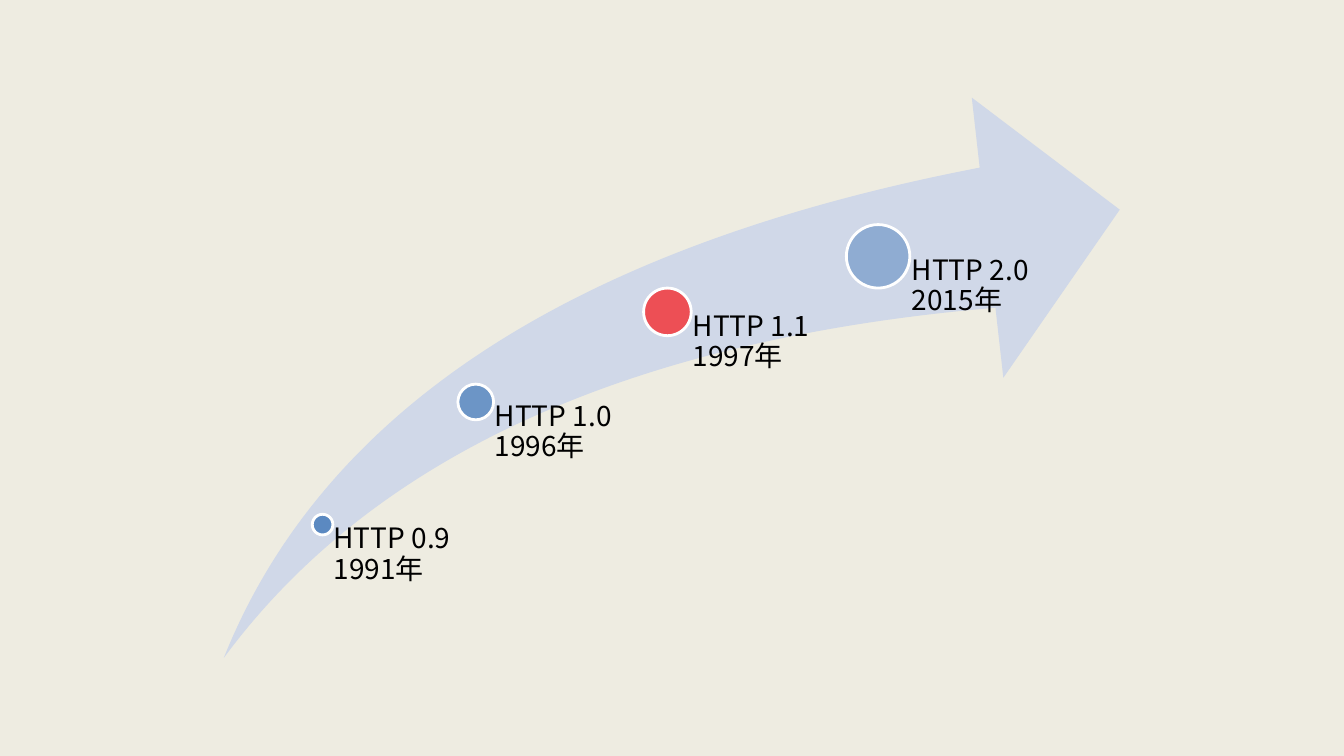
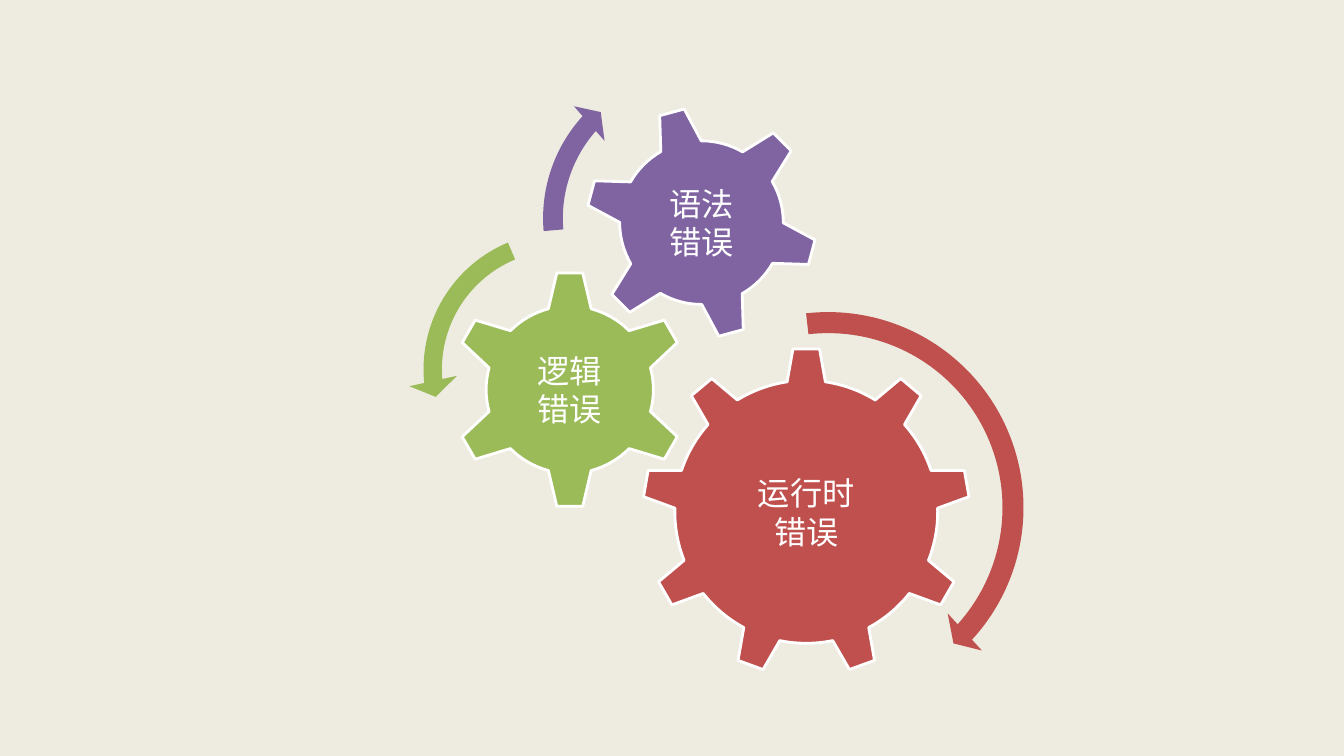
"""Build two diagram slides: HTTP version milestones and kinds of program errors."""
from dataclasses import dataclass

import lxml.etree
import pptx
import pptx.dml.color
import pptx.enum.shapes
import pptx.enum.text
import pptx.oxml.ns
import pptx.util

Cm = pptx.util.Cm
Pt = pptx.util.Pt
RGBColor = pptx.dml.color.RGBColor
Preset = pptx.enum.shapes.MSO_SHAPE
Align = pptx.enum.text.PP_ALIGN
Anchor = pptx.enum.text.MSO_ANCHOR
qn = pptx.oxml.ns.qn

FONT = "Noto Sans CJK SC"
CREAM = RGBColor(0xEE, 0xEC, 0xE1)
PALE_BLUE = RGBColor(0xD0, 0xD8, 0xE8)
BLUE = RGBColor(0x4F, 0x81, 0xBD)
BRIGHT_RED = RGBColor(0xFF, 0x00, 0x00)
BRICK = RGBColor(0xC0, 0x50, 0x4D)
GREEN = RGBColor(0x9B, 0xBB, 0x59)
PURPLE = RGBColor(0x80, 0x64, 0xA2)
WHITE = RGBColor(0xFF, 0xFF, 0xFF)
BLACK = RGBColor(0x00, 0x00, 0x00)

SWOOSH_LEFT, SWOOSH_TOP, SWOOSH_WIDTH, SWOOSH_HEIGHT = 5.64, 2.46, 22.58, 14.12
LABEL_INSET_RATIO = 0.53
GEAR_LABEL_INSET = 0.08


@dataclass(frozen=True)
class Box:
    """A rectangle in centimetres."""

    left: float
    top: float
    width: float
    height: float

    @classmethod
    def around(cls, x: float, y: float, width: float, height: float) -> "Box":
        """Return the rectangle centred on a point."""
        return cls(x - width / 2, y - height / 2, width, height)

    def lengths(self) -> tuple:
        """Return left, top, width and height as slide lengths."""
        return Cm(self.left), Cm(self.top), Cm(self.width), Cm(self.height)


@dataclass(frozen=True)
class Milestone:
    """A dot on the swoosh with the label that hangs from its centre."""

    text: str
    x: float
    y: float
    diameter: float
    label_width: float
    color: RGBColor
    opacity: int


@dataclass(frozen=True)
class Gear:
    """A gear with its centred label."""

    lines: tuple
    preset: Preset
    x: float
    y: float
    size: float
    label_width: float
    label_height: float
    color: RGBColor
    rotation: float = 0


@dataclass(frozen=True)
class Turn:
    """A curved arrow showing how a gear turns."""

    preset: Preset
    x: float
    y: float
    size: float
    color: RGBColor
    adjustments: tuple


MILESTONES = (
    Milestone("HTTP 0.9 1991年", 8.13, 13.22, 0.52, 3.86, BLUE, 90),
    Milestone("HTTP 1.0 1996年", 11.99, 10.13, 0.9, 4.75, BLUE, 77),
    Milestone("HTTP 1.1 1997年", 16.82, 7.86, 1.2, 4.75, BRIGHT_RED, 63),
    Milestone("HTTP 2.0 2015年", 22.13, 6.46, 1.6, 4.75, BLUE, 50),
)

GEARS = (
    Gear(("运行时", "错误"), Preset.GEAR_9, 20.32, 12.9, 8.28, 4.95, 4.27, BRICK),
    Gear(("逻辑", "错误"), Preset.GEAR_6, 14.36, 9.82, 6.02, 3, 2.97, GREEN),
    Gear(("语法", "错误"), Preset.GEAR_6, 17.68, 5.61, 5.89, 3.3, 3.3, PURPLE, 345),
)

TURNS = (
    Turn(Preset.CIRCULAR_ARROW, 20.87, 12.79, 10.59, BRICK,
         (0.05, 2.99, 25.39, 158.12, 0.06)),
    Turn(Preset.LEFT_CIRCULAR_ARROW, 14.14, 9.31, 7.7, GREEN,
         (0.06, 4.3, 104.89, 148.38, 0.08)),
    Turn(Preset.CIRCULAR_ARROW, 17.51, 5.5, 8.31, PURPLE,
         (0.06, 3.94, 133.14, 105.08, 0.07)),
)


def add_figure(page, preset: Preset, box: Box, color: RGBColor,
               outlined: bool = False, adjustments: tuple = ()):
    """Add a flat preset shape, with a white outline on request."""
    figure = page.shapes.add_shape(preset, *box.lengths())
    figure.shadow.inherit = False
    figure.fill.solid()
    figure.fill.fore_color.rgb = color
    if outlined:
        figure.line.color.rgb = WHITE
        figure.line.width = Pt(2)
    else:
        figure.line.fill.background()
    for index, value in enumerate(adjustments):
        figure.adjustments[index] = value
    return figure


def set_opacity(figure, percent: int) -> None:
    """Make the solid fill of a shape partly transparent."""
    color = figure._element.spPr.find(qn("a:solidFill"))[0]
    lxml.etree.SubElement(color, qn("a:alpha"), val=str(percent * 1000))


def add_label(page, box: Box, lines: tuple, size: float, color: RGBColor,
              insets: tuple, align: Align = Align.LEFT,
              anchor: Anchor = Anchor.TOP, spacing: float = 1.0) -> None:
    """Add a wrapped text box with one paragraph per line."""
    frame = page.shapes.add_textbox(*box.lengths()).text_frame
    frame.word_wrap = True
    frame.vertical_anchor = anchor
    (frame.margin_left, frame.margin_top,
     frame.margin_right, frame.margin_bottom) = map(Cm, insets)
    frame.text = "\n".join(lines)
    for para in frame.paragraphs:
        para.alignment = align
        para.line_spacing = spacing
        para.font.size = Pt(size)
        para.font.color.rgb = color
        para.font.name = FONT
        defaults = para._p.pPr.find(qn("a:defRPr"))
        lxml.etree.SubElement(defaults, qn("a:ea"), typeface=FONT)


def add_milestone(page, milestone: Milestone) -> None:
    """Draw a dot and its label."""
    x, y, diameter = milestone.x, milestone.y, milestone.diameter
    dot = add_figure(page, Preset.OVAL, Box.around(x, y, diameter, diameter),
                     milestone.color, outlined=True)
    set_opacity(dot, milestone.opacity)
    height = SWOOSH_TOP + SWOOSH_HEIGHT - y
    add_label(page, Box(x, y, milestone.label_width, height), (milestone.text,),
              20, BLACK, (diameter * LABEL_INSET_RATIO, 0, 0, 0), spacing=0.9)


def add_gear(page, gear: Gear) -> None:
    """Draw a gear and its label."""
    figure = add_figure(page, gear.preset,
                        Box.around(gear.x, gear.y, gear.size, gear.size),
                        gear.color, outlined=True)
    figure.rotation = gear.rotation
    add_label(page, Box.around(gear.x, gear.y, gear.label_width, gear.label_height),
              gear.lines, 23, WHITE, (GEAR_LABEL_INSET,) * 4,
              Align.CENTER, Anchor.MIDDLE)


def build_history(page) -> None:
    """Draw the HTTP versions along a rising arrow."""
    swoosh = Box(SWOOSH_LEFT, SWOOSH_TOP, SWOOSH_WIDTH, SWOOSH_HEIGHT)
    add_figure(page, Preset.SWOOSH_ARROW, swoosh, PALE_BLUE,
               adjustments=(0.25, 0.25))
    for milestone in MILESTONES:
        add_milestone(page, milestone)


def build_errors(page) -> None:
    """Draw the kinds of errors as turning gears."""
    for gear in GEARS:
        add_gear(page, gear)
    for turn in TURNS:
        add_figure(page, turn.preset, Box.around(turn.x, turn.y, turn.size, turn.size),
                   turn.color, adjustments=turn.adjustments)


def main() -> None:
    """Build and save the deck."""
    deck = pptx.Presentation()
    deck.slide_width, deck.slide_height = Cm(33.87), Cm(19.05)
    background = deck.slide_master.background.fill
    background.solid()
    background.fore_color.rgb = CREAM
    blank = deck.slide_layouts.get_by_name("Blank")
    for build in (build_history, build_errors):
        build(deck.slides.add_slide(blank))
    deck.save("out.pptx")


if __name__ == "__main__":
    main()
